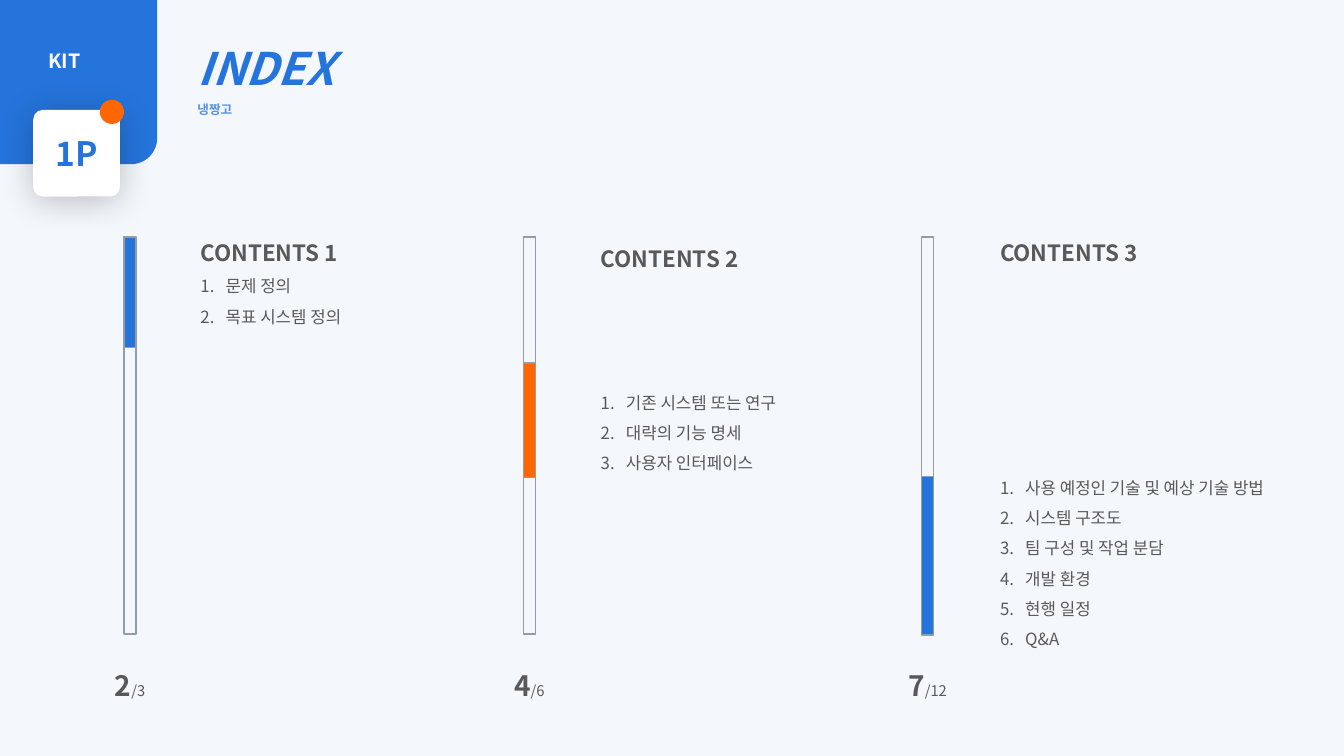
from lxml.etree import SubElement
from pptx import Presentation
from pptx.dml.color import RGBColor
from pptx.enum.shapes import MSO_SHAPE as Kind
from pptx.enum.text import MSO_ANCHOR as Anchor, PP_ALIGN as Align
from pptx.oxml.ns import qn
from pptx.util import Inches, Pt

FONT = "Noto Sans CJK KR"
BLUE = RGBColor(0x25, 0x74, 0xDB)
PALE_BLUE = RGBColor(0x57, 0x93, 0xE3)
ORANGE = RGBColor(0xFF, 0x66, 0x00)
WHITE = RGBColor(0xFF, 0xFF, 0xFF)
GREY = RGBColor(0x59, 0x59, 0x59)
OUTLINE = RGBColor(0x92, 0x9D, 0xA9)
BACKGROUND = RGBColor(0xF4, 0xF7, 0xFC)

BAR_TOP, BAR_WIDTH, BAR_HEIGHT = 2.35, 0.12, 3.94
SECTIONS = [
    {"title": "CONTENTS 1", "items": ["문제 정의", "목표 시스템 정의"],
     "bar": 1.23, "part": (2.35, 1.1), "color": BLUE, "count": ("2", "/3"),
     "text": (1.89, 2.19, 2.66, 1.07), "gap": 0},
    {"title": "CONTENTS 2",
     "items": ["기존 시스템 또는 연구", "대략의 기능 명세", "사용자 인터페이스"],
     "bar": 5.19, "part": (3.6, 1.14), "color": ORANGE, "count": ("4", "/6"),
     "text": (5.86, 2.25, 2.66, 2.49), "gap": 79},
    {"title": "CONTENTS 3",
     "items": ["사용 예정인 기술 및 예상 기술 방법", "시스템 구조도", "팀 구성 및 작업 분담",
               "개발 환경", "현행 일정", "Q&A"],
     "bar": 9.14, "part": (4.73, 1.57), "color": BLUE, "count": ("7", "/12"),
     "text": (9.82, 2.19, 3.3, 4.3), "gap": 144},
]
PLANE = [
    [(1.16, 1.07), (1.13, 1.15), (1.1, 1.14), (1.14, 1.09), (1.09, 1.13), (1.06, 1.12)],
    [(1.1, 1.14), (1.11, 1.15), (1.1, 1.16)],
]

deck = Presentation()
deck.slide_width, deck.slide_height = Inches(13.33), Inches(7.5)
page = deck.slides.add_slide(deck.slide_layouts[6])
page.background.fill.solid()
page.background.fill.fore_color.rgb = BACKGROUND


def paint(shape, fill=None, line=None):
    shape.shadow.inherit = False
    if fill is None:
        shape.fill.background()
    else:
        shape.fill.solid()
        shape.fill.fore_color.rgb = fill
    if line is None:
        shape.line.fill.background()
    else:
        shape.line.color.rgb = line
        shape.line.width = Pt(1)
    return shape


def add_shape(kind, place, fill=None, line=None):
    return paint(page.shapes.add_shape(kind, *map(Inches, place)), fill, line)


def add_box(place, wrap=True):
    frame = page.shapes.add_textbox(*map(Inches, place)).text_frame
    frame.word_wrap = wrap
    return frame


def style(para, size, color, bold=False, spacing=None):
    para.font.size, para.font.bold = Pt(size), bold
    para.font.color.rgb = color
    para.font.name = FONT
    east_asian = SubElement(para._p.pPr.defRPr, qn("a:ea"))
    east_asian.set("typeface", FONT)
    para.line_spacing = spacing


def number(para):
    props = para._p.pPr
    props.set("marL", str(Inches(0.25)))
    props.set("indent", str(-Inches(0.25)))
    bullet = SubElement(props, qn("a:buAutoNum"))
    bullet.set("type", "arabicPeriod")
    props.defRPr.addprevious(bullet)


def add_soft_shadow(shape):
    effects = shape._element.spPr.find(qn("a:effectLst"))
    shadow = SubElement(effects, qn("a:outerShdw"), blurRad=str(Pt(25)),
                        dist=str(Pt(3)), dir="5400000", algn="ctr", rotWithShape="0")
    color = SubElement(shadow, qn("a:srgbClr"), val="000000")
    SubElement(color, qn("a:alpha"), val="24000")


corner = add_shape(Kind.ROUND_1_RECTANGLE, (0, 0, 1.56, 1.63), BLUE)
corner._element.spPr.xfrm.set("flipV", "1")

card = add_shape(Kind.ROUNDED_RECTANGLE, (0.33, 1.09, 0.86, 0.86), WHITE)
card.adjustments[0] = 0.11
add_soft_shadow(card)
card.text_frame.word_wrap = False
card.text_frame.vertical_anchor = Anchor.MIDDLE
card_para = card.text_frame.paragraphs[0]
card_para.text, card_para.alignment = "1P", Align.CENTER
style(card_para, 24, BLUE, True)

add_shape(Kind.OVAL, (0.99, 0.99, 0.24, 0.24), ORANGE)
builder = page.shapes.build_freeform(*PLANE[0][0], scale=Inches(1))
builder.add_line_segments(PLANE[0][1:])
builder.move_to(*PLANE[1][0])
builder.add_line_segments(PLANE[1][1:])
paint(builder.convert_to_shape(), WHITE)

heading = add_box((1.86, 0.09, 6.67, 1.11))
title = heading.paragraphs[0]
title.text, title.font.italic = "INDEX", True
style(title, 32, BLUE, True, 1.5)
subtitle = heading.add_paragraph()
subtitle.text = "냉짱고"
style(subtitle, 9, PALE_BLUE, True, 1.5)

label = add_box((0.38, 0.44, 0.65, 0.34), False).paragraphs[0]
label.text = "KIT"
style(label, 14, WHITE, True)

for section in SECTIONS:
    left = section["bar"]
    part_top, part_height = section["part"]
    add_shape(Kind.RECTANGLE, (left, BAR_TOP, BAR_WIDTH, BAR_HEIGHT), line=OUTLINE)
    add_shape(Kind.RECTANGLE, (left, part_top, BAR_WIDTH, part_height),
              section["color"], OUTLINE)

    count = add_box((left - 0.5, 6.58, 1.12, 0.44)).paragraphs[0]
    count.alignment = Align.CENTER
    style(count, 10.5, GREY)
    done, total = section["count"]
    span = count.add_run()
    span.text, span.font.size, span.font.bold = done, Pt(20), True
    count.add_run().text = total

    contents = add_box(section["text"])
    name = contents.paragraphs[0]
    name.text = section["title"]
    style(name, 16, GREY, True, 1.5)
    for index, item in enumerate(section["items"]):
        para = contents.add_paragraph()
        para.text = item
        style(para, 12, GREY, spacing=1.5)
        para.space_before = Pt(0 if index else section["gap"])
        number(para)

deck.save("out.pptx")
